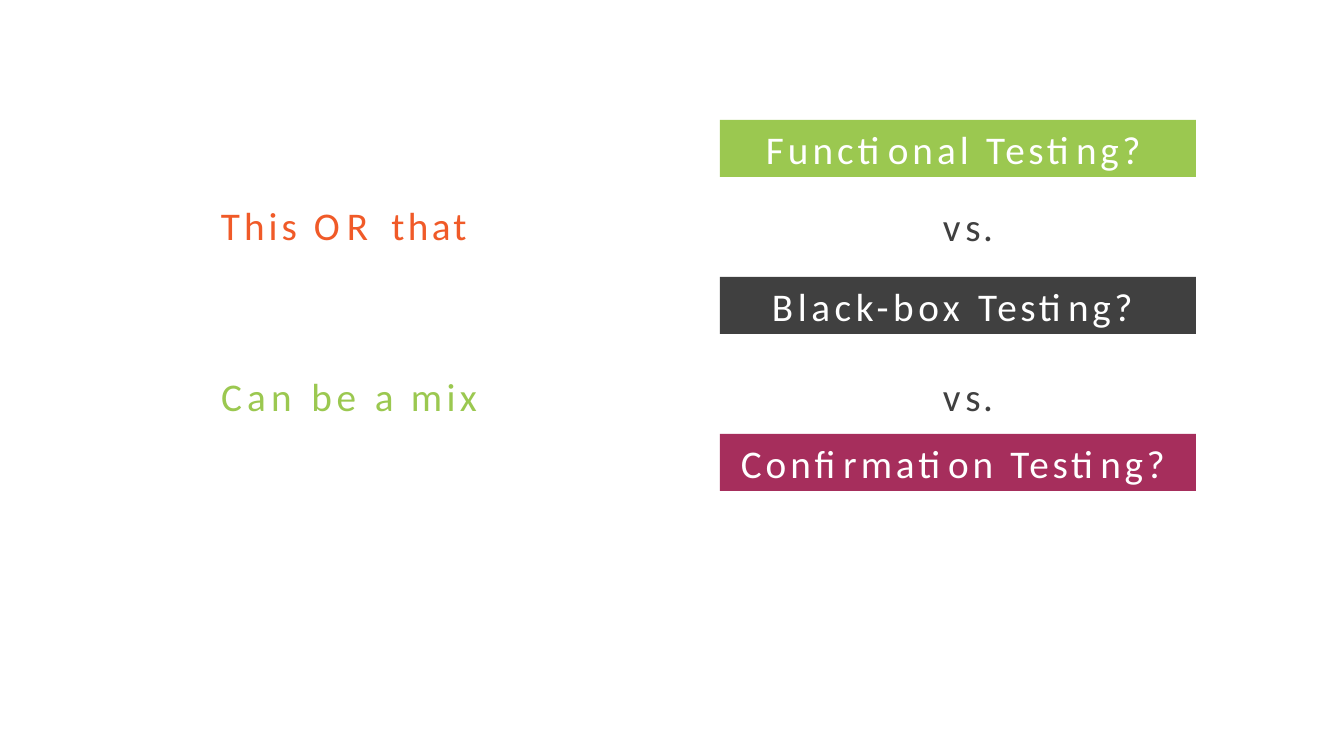
"""Build the slide that contrasts three kinds of testing."""
from pptx import Presentation
from pptx.dml.color import RGBColor
from pptx.enum.shapes import MSO_SHAPE
from pptx.enum.text import MSO_ANCHOR, PP_ALIGN
from pptx.util import Pt

PX = 914400 / 100.8
GREEN, GRAY, BERRY, ORANGE, WHITE = "9BC850", "404040", "A62E5C", "F05A28", "FFFFFF"


def px(length):
    return round(length * PX)


def write(shape, left_inset, top_inset, color, pieces):
    frame = shape.text_frame
    frame.word_wrap = True
    frame.vertical_anchor = MSO_ANCHOR.TOP
    frame.margin_left, frame.margin_top = px(left_inset), px(top_inset)
    frame.margin_right = frame.margin_bottom = 0
    para = frame.paragraphs[0]
    para.alignment = PP_ALIGN.LEFT
    for text, spacing in pieces:
        span = para.add_run()
        span.text = text
        span.font.size = Pt(28)
        span.font.name = "Calibri"
        span.font.color.rgb = RGBColor.from_string(color)
        span.font._element.set("spc", str(round(spacing * 100)))


deck = Presentation()
deck.slide_width, deck.slide_height = px(1344), px(756)
page = deck.slides.add_slide(deck.slide_layouts[6])

bars = [
    ("Functional ", 2.9, GREEN, 46),
    ("Black-box ", 3.3, GRAY, 52),
    ("Confirmation ", 2.8, BERRY, 21),
]
for row, (kind, spacing, color, inset) in enumerate(bars):
    bar = page.shapes.add_shape(
        MSO_SHAPE.RECTANGLE, px(720), px(120 + 157 * row), px(476), px(57)
    )
    bar.shadow.inherit = False
    bar.fill.solid()
    bar.fill.fore_color.rgb = RGBColor.from_string(color)
    bar.line.fill.background()
    write(bar, inset, 5, WHITE, [(kind, spacing), ("Testing?", 2.6)])

versus = [("v", 3.4), ("s.", 1.8)]
labels = [
    (942, 200, 56, GRAY, versus),
    (942, 370, 56, GRAY, versus),
    (220, 199, 247, ORANGE, [("This ", 2.9), ("OR ", 5.1), ("that", 2.4)]),
    (220, 370, 258, GREEN, [("Can ", 3.8), ("be ", 3.5), ("a ", 3), ("mix", 3.2)]),
]
for left, top, width, color, pieces in labels:
    box = page.shapes.add_textbox(px(left), px(top), px(width), px(49))
    write(box, 1, 2, color, pieces)

deck.save("out.pptx")
